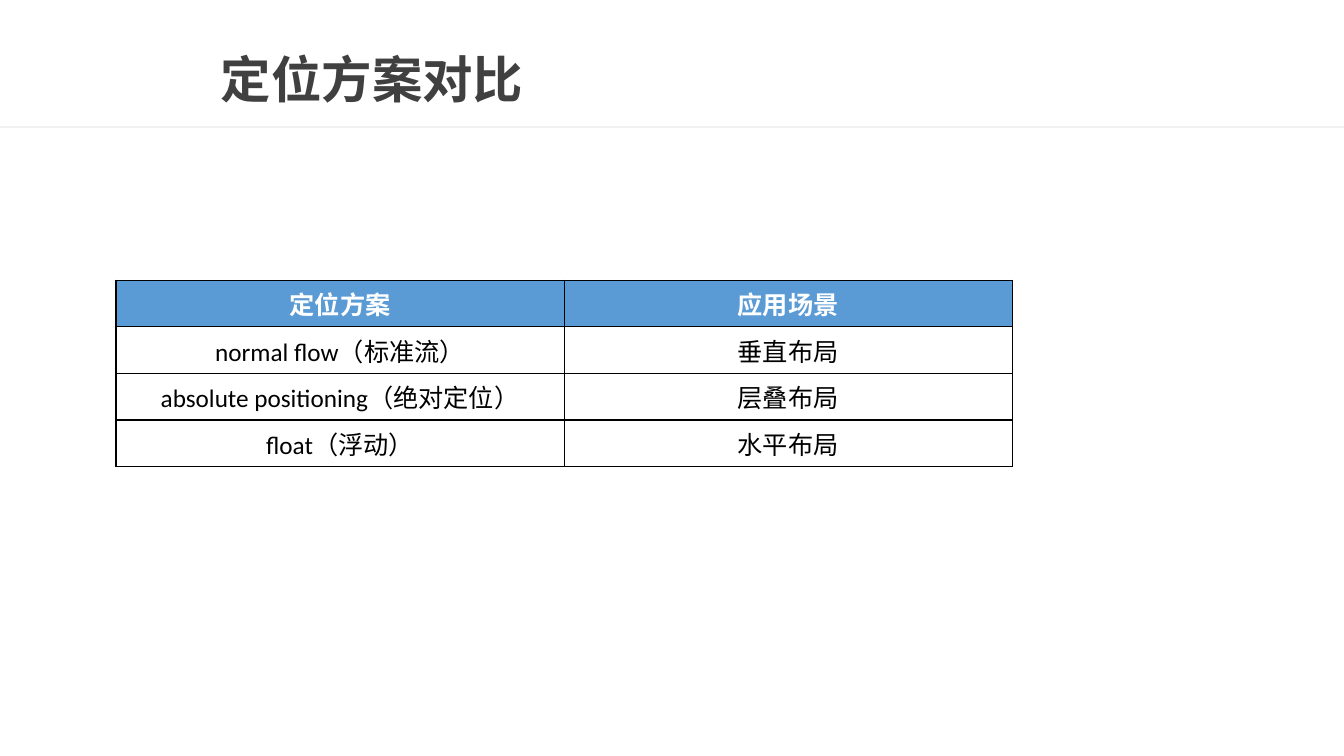
"""Build a slide comparing CSS positioning schemes and their uses."""
from lxml.etree import SubElement
from pptx import Presentation
from pptx.dml.color import RGBColor
from pptx.enum.shapes import MSO_SHAPE as Shape
from pptx.enum.text import MSO_ANCHOR as Anchor, MSO_AUTO_SIZE as AutoSize, PP_ALIGN as Align
from pptx.oxml.ns import qn
from pptx.util import Inches, Pt

CJK_FONT = "Noto Sans CJK SC"


def color(value):
    return RGBColor.from_string(value)


def write(text_frame, text, align, hex_color, **font_format):
    paragraph = text_frame.paragraphs[0]
    paragraph.alignment = align
    run = paragraph.add_run()
    run.text = text
    run.font.color.rgb = color(hex_color)
    for name, value in font_format.items():
        setattr(run.font, name, value)
    SubElement(run.font._element, qn("a:ea"), typeface=CJK_FONT)
    return paragraph


presentation = Presentation()
presentation.slide_width = Inches(13.33)
presentation.slide_height = Inches(7.5)
slide = presentation.slides.add_slide(presentation.slide_layouts[5])

divider = slide.shapes.add_shape(
    Shape.RECTANGLE, Inches(0), Inches(1.25), Inches(13.33), Inches(0.02))
divider.shadow.inherit = False
divider.fill.solid()
divider.fill.fore_color.rgb = color("F1F1F1")
divider.line.fill.background()

title = slide.shapes.title
title_box = {"left": 2.09, "top": 0.43, "width": 11.03, "height": 0.78}
for name, value in title_box.items():
    setattr(title, name, Inches(value))
frame_format = {"vertical_anchor": Anchor.MIDDLE, "word_wrap": True, "auto_size": AutoSize.NONE}
for name, value in frame_format.items():
    setattr(title.text_frame, name, value)
heading = write(title.text_frame, "定位方案对比", Align.LEFT, "404040",
                size=Pt(36), bold=True, name=CJK_FONT)
heading.line_spacing = 0.9

rows = [
    ("定位方案", "应用场景"),
    ("normal flow（标准流）", "垂直布局"),
    ("absolute positioning（绝对定位）", "层叠布局"),
    ("float（浮动）", "水平布局"),
]
table = slide.shapes.add_table(
    len(rows), 2, Inches(1.15), Inches(2.78), Inches(8.89), Inches(1.62)).table

for row_index, row in enumerate(rows):
    is_header = row_index == 0
    for column_index, text in enumerate(row):
        cell = table.cell(row_index, column_index)
        cell.vertical_anchor = Anchor.MIDDLE
        write(cell.text_frame, text, Align.CENTER, "FFFFFF" if is_header else "000000",
              size=Pt(18), bold=is_header, name="Calibri")
        properties = cell._tc.get_or_add_tcPr()
        for side in ("lnL", "lnR", "lnT", "lnB"):
            border = SubElement(properties, qn(f"a:{side}"), w=str(Pt(1)))
            border_fill = SubElement(border, qn("a:solidFill"))
            SubElement(border_fill, qn("a:srgbClr"), val="000000")
        cell.fill.solid()
        cell.fill.fore_color.rgb = color("5B9BD5" if is_header else "FFFFFF")

presentation.save("out.pptx")
